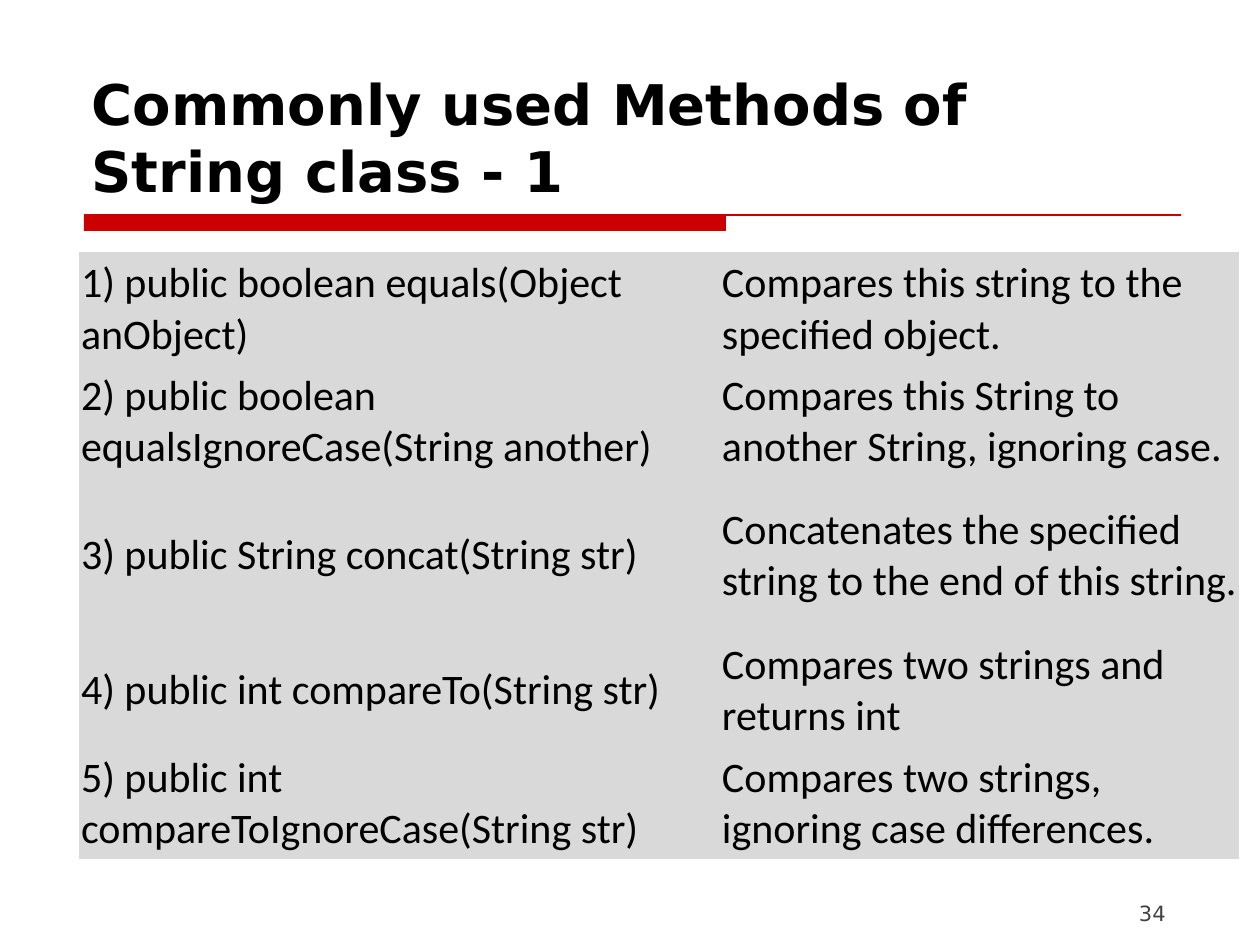
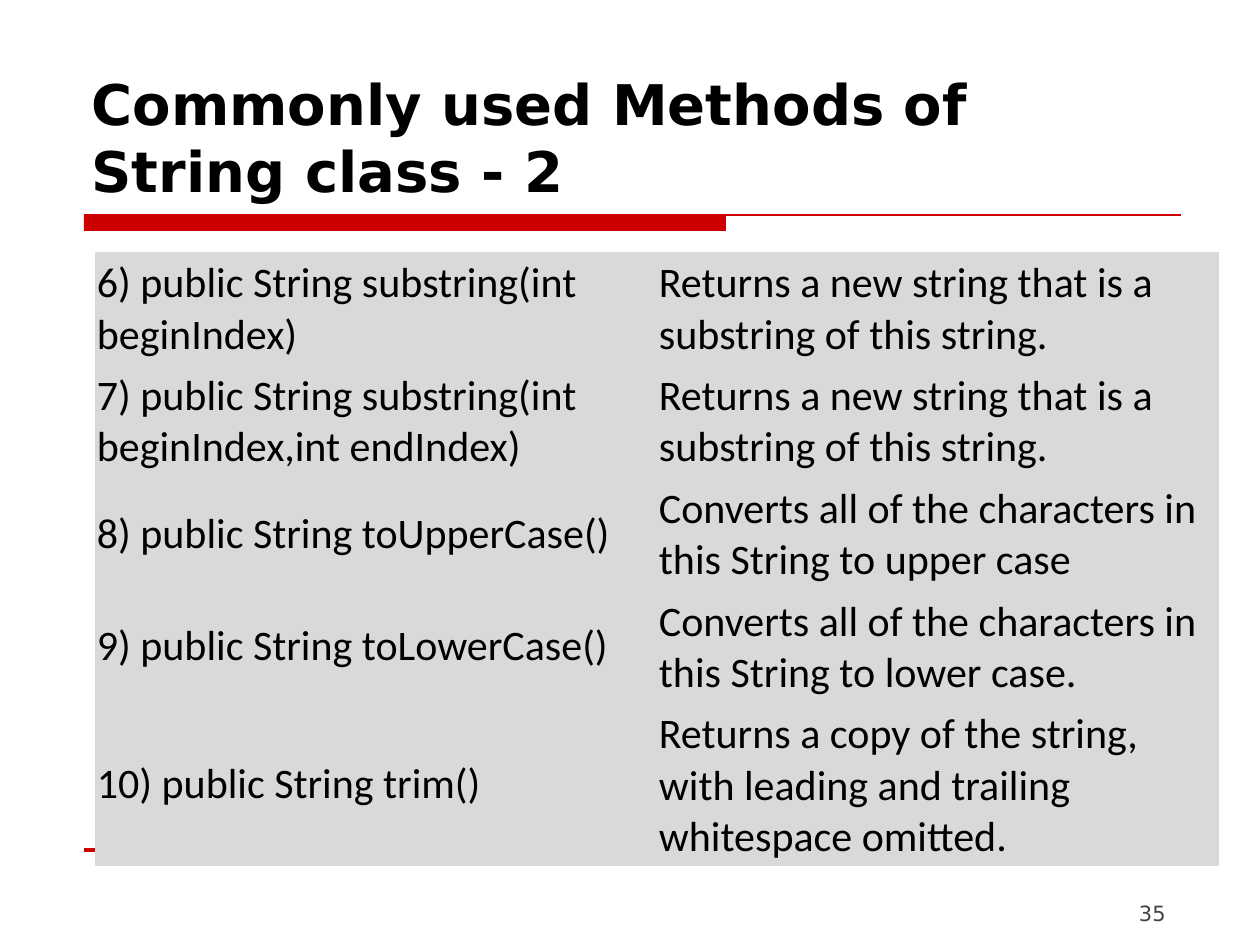
"""Build two slides listing commonly used methods of the String class."""
from lxml import etree
from pptx import Presentation
from pptx.dml.color import RGBColor
from pptx.enum.shapes import MSO_CONNECTOR, MSO_SHAPE
from pptx.enum.text import MSO_ANCHOR, MSO_AUTO_SIZE, PP_ALIGN
from pptx.oxml.ns import qn
from pptx.util import Pt

STRAIGHT = MSO_CONNECTOR.STRAIGHT
RECTANGLE = MSO_SHAPE.RECTANGLE
BOTTOM, MIDDLE = MSO_ANCHOR.BOTTOM, MSO_ANCHOR.MIDDLE
NO_AUTOFIT = MSO_AUTO_SIZE.NONE
LEFT = PP_ALIGN.LEFT

SLIDES = [
    {
        "title": "Commonly used Methods of String class - 1",
        "number": "34",
        "left": 79,
        "columns": [641, 519],
        "methods": [
            ("1) public boolean equals(Object anObject)",
             "Compares this string to the specified object."),
            ("2) public boolean equalsIgnoreCase(String another)",
             "Compares this String to another String, ignoring case."),
            ("3) public String concat(String str)",
             "Concatenates the specified string to the end of this string."),
            ("4) public int compareTo(String str)",
             "Compares two strings and returns int"),
            ("5) public int compareToIgnoreCase(String str)",
             "Compares two strings, ignoring case differences."),
        ],
        "tall_row": 2,
    },
    {
        "title": "Commonly used Methods of String class - 2",
        "number": "35",
        "left": 95,
        "columns": [562, 562],
        "methods": [
            ("6) public String substring(int beginIndex)",
             "Returns a new string that is a substring of this string."),
            ("7) public String substring(int beginIndex,int endIndex)",
             "Returns a new string that is a substring of this string."),
            ("8) public String toUpperCase()",
             "Converts all of the characters in this String to upper case"),
            ("9) public String toLowerCase()",
             "Converts all of the characters in this String to lower case."),
            ("10) public String trim()",
             "Returns a copy of the string, with leading and trailing whitespace omitted."),
        ],
        "tall_row": 4,
    },
]

COLORS = {"accent": "CC0000", "text": "000000", "number": "424242", "cell": "D9D9D9"}
HEADING_FONT, TABLE_FONT = "DejaVu Sans", "Calibri"
EMU_PER_PX = 914400 // 126
SLIDE_SIZE = (1260, 945)
TITLE_BOX = (79, 42, 1103, 168)
TITLE_BAR = (84, 215, 642, 16)
NUMBER_BOX = (1139, 876, 105, 50)
RULES = [(84, 1181, 215, 0.75), (84, 1176, 850, 2)]
TABLE_TOP, ROW_HEIGHT, TALL_ROW_HEIGHT = 252, 107, 156
CELL_MARGINS = (2, 6)


def px(*lengths):
    """Turn pixel lengths into EMU."""
    return [length * EMU_PER_PX for length in lengths]


def color(name):
    """Return a named colour."""
    return RGBColor.from_string(COLORS[name])


def write(frame, text, size, font_name, color_name, bold=False):
    """Write one formatted run into the first paragraph of a frame."""
    paragraph = frame.paragraphs[0]
    paragraph.alignment = LEFT
    run = paragraph.add_run()
    run.text = text
    run.font.size = Pt(size)
    run.font.name = font_name
    run.font.bold = bold
    run.font.color.rgb = color(color_name)


def add_title(slide, text):
    """Place and fill the title placeholder."""
    title = slide.shapes.title
    title.left, title.top, title.width, title.height = px(*TITLE_BOX)
    frame = title.text_frame
    frame.auto_size = NO_AUTOFIT
    frame.vertical_anchor = BOTTOM
    write(frame, text, 32, HEADING_FONT, "text", bold=True)


def add_bands(slide):
    """Draw the title bar and the two horizontal rules."""
    bar = slide.shapes.add_shape(RECTANGLE, *px(*TITLE_BAR))
    bar.shadow.inherit = False
    bar.fill.solid()
    bar.fill.fore_color.rgb = color("accent")
    bar.line.fill.background()
    for start, end, y, width in RULES:
        rule = slide.shapes.add_connector(STRAIGHT, *px(start, y, end, y))
        rule.line.color.rgb = color("accent")
        rule.line.width = Pt(width)
        etree.SubElement(rule._element.spPr, qn("a:effectLst"))


def add_number(slide, number):
    """Add the slide number."""
    frame = slide.shapes.add_textbox(*px(*NUMBER_BOX)).text_frame
    frame.word_wrap = True
    frame.vertical_anchor = BOTTOM
    frame.margin_left = frame.margin_right = frame.margin_top = frame.margin_bottom = 0
    write(frame, number, 12, HEADING_FONT, "number")


def format_cell(cell):
    """Give a cell its margins, fill and invisible borders."""
    margin_x, margin_y = px(*CELL_MARGINS)
    cell.margin_left = cell.margin_right = margin_x
    cell.margin_top = cell.margin_bottom = margin_y
    cell.vertical_anchor = MIDDLE
    properties = cell._tc.get_or_add_tcPr()
    for side in "LRTB":
        border = etree.SubElement(properties, qn(f"a:ln{side}"))
        etree.SubElement(border, qn("a:noFill"))
    cell.fill.solid()
    cell.fill.fore_color.rgb = color("cell")


def add_methods(slide, content):
    """Add the table of methods and descriptions."""
    methods, columns = content["methods"], content["columns"]
    heights = [ROW_HEIGHT] * len(methods)
    heights[content["tall_row"]] = TALL_ROW_HEIGHT
    box = px(content["left"], TABLE_TOP, sum(columns), sum(heights))
    table = slide.shapes.add_table(len(methods), len(columns), *box).table
    table.first_row = table.horz_banding = False
    for column, width in zip(table.columns, px(*columns)):
        column.width = width
    for row, height, texts in zip(table.rows, px(*heights), methods):
        row.height = height
        for cell, text in zip(row.cells, texts):
            format_cell(cell)
            write(cell.text_frame, text, 24, TABLE_FONT, "text")


def main():
    """Build and save the presentation."""
    presentation = Presentation()
    presentation.slide_width, presentation.slide_height = px(*SLIDE_SIZE)
    title_only = presentation.slide_layouts.get_by_name("Title Only")
    for content in SLIDES:
        slide = presentation.slides.add_slide(title_only)
        add_bands(slide)
        add_number(slide, content["number"])
        add_title(slide, content["title"])
        add_methods(slide, content)
    presentation.save("out.pptx")


if __name__ == "__main__":
    main()
